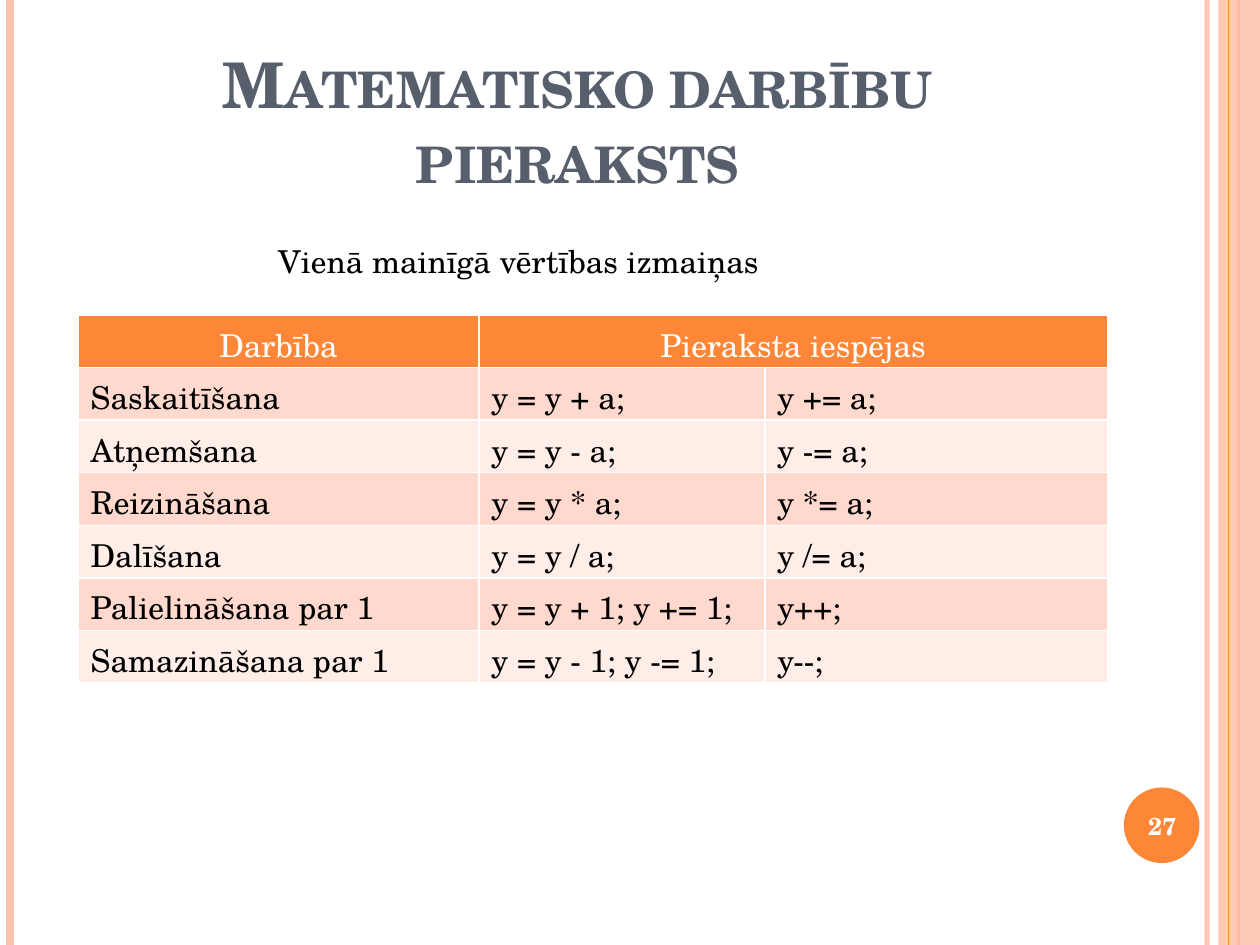
from lxml import etree
from pptx import Presentation
from pptx import util as u
from pptx.dml.color import RGBColor
from pptx.enum import shapes, text
from pptx.oxml.ns import qn

WIDTH, HEIGHT = 10, 7.5
FONT = "TeX Gyre Schola"
COLORS = {
    "orange": "FE8637", "peach": "FEC3AE", "slate": "575F6D", "white": "FFFFFF",
    "black": "000000", "dark_band": "FFD9CE", "light_band": "FFEDE8",
}
TITLE = "Matematisko darbību pieraksts"
SUBTITLE = "Vienā mainīgā vērtības izmaiņas"
PAGE = "27"
HEADER = ("Darbība", "Pieraksta iespējas")
OPERATIONS = [
    ("Saskaitīšana", "y = y + a;", "y += a;"),
    ("Atņemšana", "y = y - a;", "y -= a;"),
    ("Reizināšana", "y = y * a;", "y *= a;"),
    ("Dalīšana", "y = y / a;", "y /= a;"),
    ("Palielināšana par 1", "y = y + 1; y += 1;", "y++;"),
    ("Samazināšana par 1", "y = y - 1; y -= 1;", "y--;"),
]
# x position, colour, width in points, opacity in percent
STRIPES_UNDER_BAND = [
    (9.58, "peach", 3, 93),
    (0.08, "peach", 4.5, 100),
    (9.83, "orange", 1.5, 100),
]
STRIPE_OVER_BAND = (9.75, "orange", 0.75, 100)
COLUMNS = (3.18, 2.27, 2.72)
TABLE_HEIGHT = 2.84
CENTER = text.PP_ALIGN.CENTER


def inches(*lengths):
    return [u.Inches(length) for length in lengths]


def rgb(name):
    return RGBColor.from_string(COLORS[name])


def set_opacity(fill_parent, percent):
    color = next(fill_parent.iter(qn("a:srgbClr")))
    etree.SubElement(color, qn("a:alpha"), val=str(percent * 1000))


def write(frame, words, color, size=18, align=None, **font_format):
    paragraph = frame.paragraphs[0]
    paragraph.alignment = align
    run = paragraph.add_run()
    run.text = words
    for key, value in dict(name=FONT, size=u.Pt(size), **font_format).items():
        setattr(run.font, key, value)
    run.font.color.rgb = rgb(color)
    return run


def add_stripe(slide, x, color, width, opacity):
    stripe = slide.shapes.add_connector(
        shapes.MSO_CONNECTOR.STRAIGHT, *inches(x, 0, x, HEIGHT))
    stripe.line.color.rgb = rgb(color)
    stripe.line.width = u.Pt(width)
    properties = stripe.element.spPr
    if opacity < 100:
        set_opacity(properties, opacity)
    etree.SubElement(properties, qn("a:effectLst"))


def add_filled(slide, preset, box, color):
    shape = slide.shapes.add_shape(preset, *inches(*box))
    shape.shadow.inherit = False
    shape.fill.solid()
    shape.fill.fore_color.rgb = rgb(color)
    shape.line.fill.background()
    return shape


def style_cell(cell, color):
    """Draw white cell borders, then the fill that must follow them in the XML."""
    cell.margin_bottom = 0
    properties = cell._tc.get_or_add_tcPr()
    for side in "LRTB":
        border = etree.SubElement(properties, qn(f"a:ln{side}"), w=str(u.Pt(1)))
        fill = etree.SubElement(border, qn("a:solidFill"))
        etree.SubElement(fill, qn("a:srgbClr"), val=COLORS["white"])
    cell.fill.solid()
    cell.fill.fore_color.rgb = rgb(color)


def add_operations_table(slide):
    row_count = len(OPERATIONS) + 1
    table = slide.shapes.add_table(
        row_count, len(COLUMNS), *inches(0.62, 2.5, sum(COLUMNS), TABLE_HEIGHT)).table
    for column, width in zip(table.columns, COLUMNS):
        column.width = u.Inches(width)
    for row in table.rows:
        row.height = u.Inches(TABLE_HEIGHT / row_count)
    table.cell(0, 1).merge(table.cell(0, 2))
    for c in range(len(COLUMNS)):
        style_cell(table.cell(0, c), "orange")
    for c, label in enumerate(HEADER):
        write(table.cell(0, c).text_frame, label, "white", align=CENTER)
    for r, operation in enumerate(OPERATIONS, 1):
        for c, words in enumerate(operation):
            cell = table.cell(r, c)
            style_cell(cell, "dark_band" if r % 2 else "light_band")
            write(cell.text_frame, words, "black")


def main():
    prs = Presentation()
    prs.slide_width, prs.slide_height = inches(WIDTH, HEIGHT)
    slide = prs.slides.add_slide(prs.slide_layouts[5])

    for stripe in STRIPES_UNDER_BAND:
        add_stripe(slide, *stripe)
    band = add_filled(slide, shapes.MSO_SHAPE.RECTANGLE, (9.67, 0, 0.33, HEIGHT), "peach")
    set_opacity(band.element.spPr, 87)
    add_stripe(slide, *STRIPE_OVER_BAND)
    add_filled(slide, shapes.MSO_SHAPE.OVAL, (8.92, 6.25, 0.6, 0.6), "orange")

    title = slide.shapes.title
    title.left, title.top, title.width, title.height = inches(0.5, 0.3, 8.17, 1.31)
    title.text_frame.vertical_anchor = text.MSO_ANCHOR.BOTTOM
    heading = write(title.text_frame, TITLE, "slate", 36, CENTER, bold=True)
    heading.font._element.set("cap", "small")

    add_operations_table(slide)

    page = slide.shapes.add_textbox(*inches(8.89, 6.27, 0.67, 0.57)).text_frame
    page.word_wrap = True
    page.vertical_anchor = text.MSO_ANCHOR.MIDDLE
    write(page, PAGE, "white", 14, CENTER, bold=True)

    subtitle = slide.shapes.add_textbox(*inches(2.11, 1.87, 4.58, 0.5)).text_frame
    subtitle.word_wrap = False
    write(subtitle, SUBTITLE, "black")

    prs.save("out.pptx")


if __name__ == "__main__":
    main()
